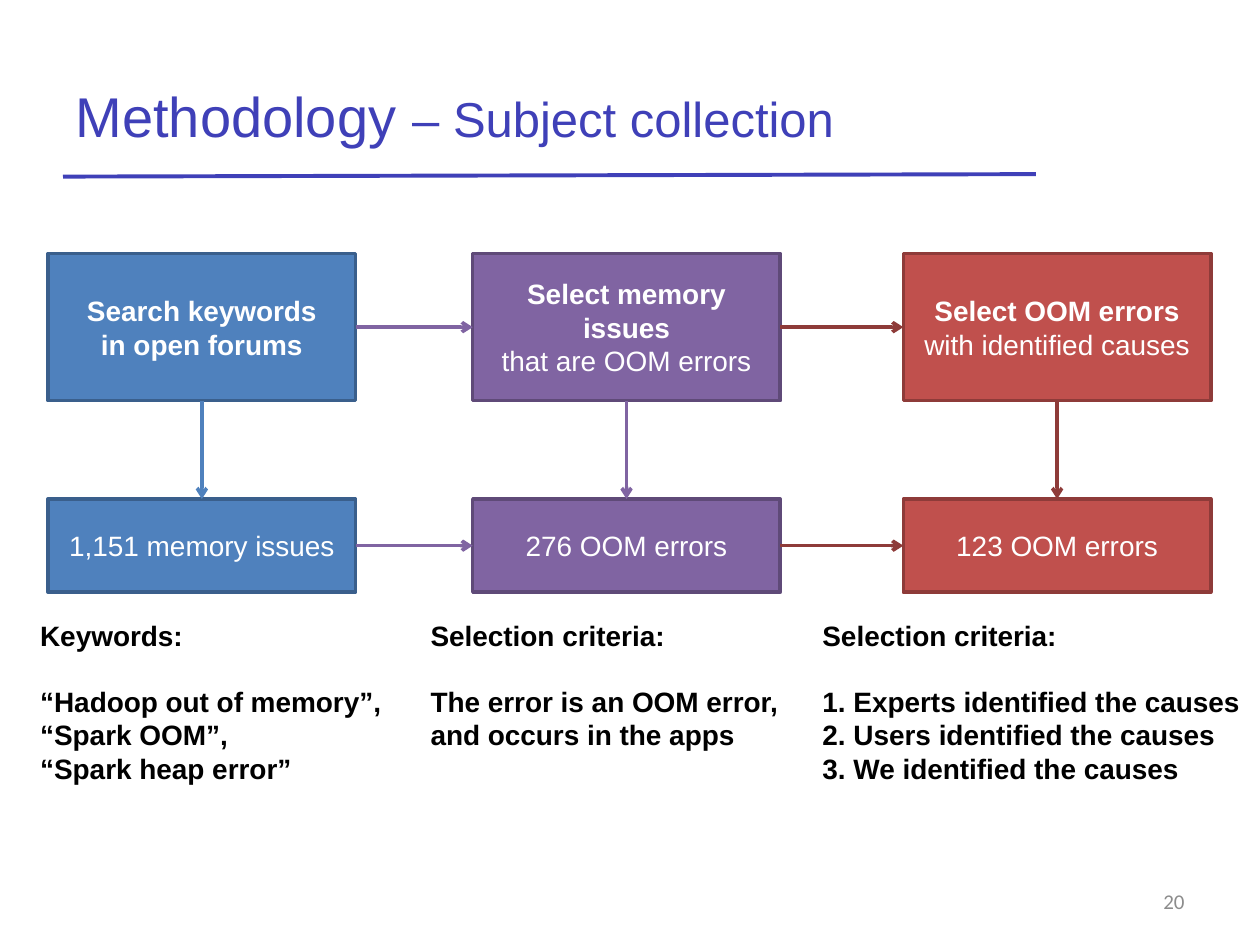
from lxml import etree
from pptx import Presentation
from pptx.dml.color import RGBColor
from pptx.enum.shapes import MSO_CONNECTOR, MSO_SHAPE
from pptx.enum.text import MSO_ANCHOR, PP_ALIGN
from pptx.oxml.ns import qn
from pptx.util import Cm, Pt

INDIGO = RGBColor(0x3F, 0x40, 0xB8)
BLUE = RGBColor(0x4F, 0x81, 0xBD)
DARK_BLUE = RGBColor(0x3A, 0x5F, 0x8C)
PURPLE = RGBColor(0x80, 0x64, 0xA2)
DARK_PURPLE = RGBColor(0x5F, 0x4A, 0x78)
RED = RGBColor(0xC0, 0x50, 0x4D)
DARK_RED = RGBColor(0x8E, 0x3B, 0x39)
WHITE = RGBColor(0xFF, 0xFF, 0xFF)
BLACK = RGBColor(0, 0, 0)
GREY = RGBColor(0x8C, 0x8C, 0x8C)

BOX_WIDTH = Cm(6.2)
STEP_TOP, STEP_HEIGHT = Cm(5.11), Cm(2.97)
RESULT_TOP, RESULT_HEIGHT = Cm(10.06), Cm(1.88)
NOTE_TOP = Cm(12.34)
TOP, LEFT, BOTTOM, RIGHT = range(4)  # connection sites of a rectangle

prs = Presentation()
prs.slide_width, prs.slide_height = Cm(25.4), Cm(19.05)
slide = prs.slides.add_slide(prs.slide_layouts[5])
shapes = slide.shapes


def write(frame, lines, color, size=16, font="Arial", align=PP_ALIGN.LEFT):
    """Fill a text frame with one paragraph per (text, bold) line."""
    frame.word_wrap = True
    frame.text = "\n".join(text for text, bold in lines)
    for paragraph, (text, bold) in zip(frame.paragraphs, lines):
        paragraph.alignment = align
        for run in paragraph.runs:
            run.font.name, run.font.size = font, Pt(size)
            run.font.bold, run.font.color.rgb = bold, color


def add_line(start, end, color, width, arrow=True):
    """Draw a straight line without shadow, with an optional arrowhead."""
    line = shapes.add_connector(MSO_CONNECTOR.STRAIGHT, *start, *end)
    line.line.color.rgb, line.line.width = color, Pt(width)
    if arrow:
        etree.SubElement(line.line._get_or_add_ln(), qn("a:tailEnd"), type="arrow")
    etree.SubElement(line._element.spPr, qn("a:effectLst"))
    return line


# Title and rule below it
title = shapes.title
title.left, title.top, title.width, title.height = Cm(1.27), Cm(1.14), Cm(22.86), Cm(2.36)
write(title.text_frame, [("Methodology ", False)], INDIGO, 32)
title.text_frame.vertical_anchor = MSO_ANCHOR.MIDDLE
subtitle = title.text_frame.paragraphs[0].add_run()
subtitle.text = "– Subject collection"
subtitle.font.name, subtitle.font.size = "Arial", Pt(28)
subtitle.font.color.rgb = INDIGO
add_line((Cm(1.27), Cm(3.56)), (Cm(20.88), Cm(3.51)), INDIGO, 2.25, arrow=False)

# Each stage: left edge, fill, outline, arrow colour, step lines, result
stages = [
    (Cm(0.97), BLUE, DARK_BLUE, BLUE,
     [("Search keywords", True), ("in open forums", True)], "1,151 memory issues"),
    (Cm(9.53), PURPLE, DARK_PURPLE, PURPLE,
     [("Select memory issues", True), ("that are OOM errors", False)], "276 OOM errors"),
    (Cm(18.21), RED, DARK_RED, DARK_RED,
     [("Select OOM errors", True), ("with identified causes", False)], "123 OOM errors"),
]

# Step and result boxes, with arrows down and from the previous stage
previous_boxes = []
for left, fill, outline, arrow_color, step, result in stages:
    boxes = []
    for top, height, lines in [(STEP_TOP, STEP_HEIGHT, step),
                               (RESULT_TOP, RESULT_HEIGHT, [(result, False)])]:
        box = shapes.add_shape(MSO_SHAPE.RECTANGLE, left, top, BOX_WIDTH, height)
        box.shadow.inherit = False
        box.fill.solid()
        box.fill.fore_color.rgb = fill
        box.line.color.rgb, box.line.width = outline, Pt(2)
        box.text_frame.vertical_anchor = MSO_ANCHOR.MIDDLE
        write(box.text_frame, lines, WHITE, align=PP_ALIGN.CENTER)
        boxes.append(box)
    links = [(boxes[0], BOTTOM, boxes[1], TOP)]
    links += [(before, RIGHT, box, LEFT) for before, box in zip(previous_boxes, boxes)]
    for source, source_site, target, target_site in links:
        arrow = add_line((0, 0), (0, 0), arrow_color, 2)
        arrow.begin_connect(source, source_site)
        arrow.end_connect(target, target_site)
    previous_boxes = boxes

# Notes below the stages: left, width, height, heading and details
notes = [
    (Cm(0.56), Cm(7.98), Cm(4.37),
     ["Keywords:", "“Hadoop out of memory”, “Spark OOM”,", "“Spark heap error”"]),
    (Cm(8.43), Cm(8.1), Cm(3.68),
     ["Selection criteria:", "The error is an OOM error, and occurs in the apps"]),
    (Cm(16.33), Cm(9.07), Cm(4.37),
     ["Selection criteria:", "1. Experts identified the causes",
      "2. Users identified the causes", "3. We identified the causes"]),
]
for left, width, height, lines in notes:
    note = shapes.add_textbox(left, NOTE_TOP, width, height).text_frame
    write(note, [(line, True) for line in lines], BLACK)
    note.paragraphs[1].space_before = Pt(18.4)

# Page number
page_number = shapes.add_textbox(Cm(18.21), Cm(17.65), Cm(5.92), Cm(1.02)).text_frame
page_number.vertical_anchor = MSO_ANCHOR.MIDDLE
write(page_number, [("20", False)], GREY, 12, "Calibri", PP_ALIGN.RIGHT)

prs.save("out.pptx")
